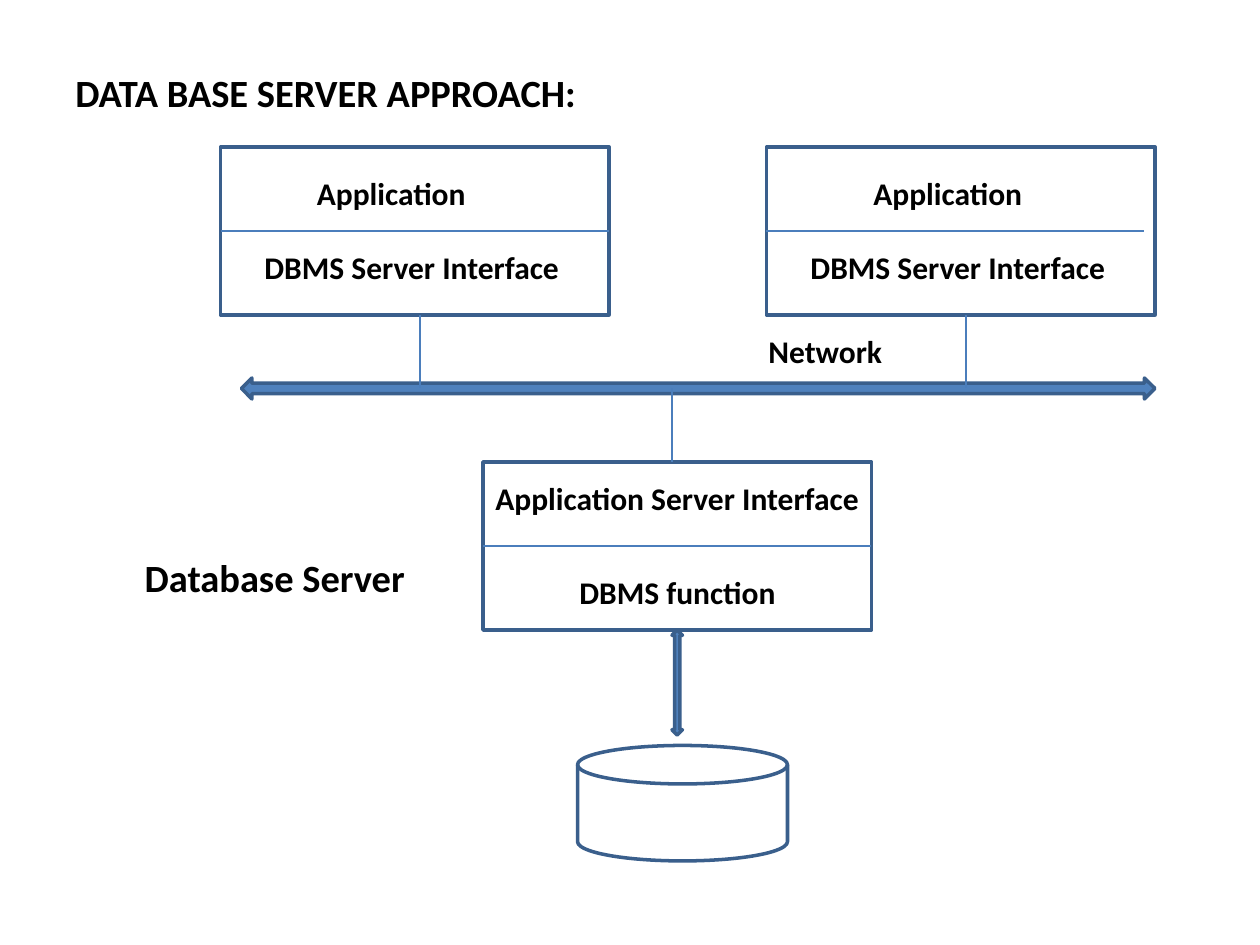
from pptx import Presentation
from pptx import util as u
from pptx.dml.color import RGBColor
from pptx.enum import shapes, text
from pptx.oxml.ns import qn
from lxml import etree

WIDTH, HEIGHT = u.Inches(10), u.Inches(7.5)
COLUMNS, ROWS = 120, 90
BORDER, RULE, ARROW, INK = "3A5F8C", "4B7EBC", "4F81BD", "000000"
NODE_WIDTH, NODE_HEIGHT = 37, 16


def color(value):
    return RGBColor.from_string(value)


def across(columns):
    return round(WIDTH * columns / COLUMNS)


def down(rows):
    return round(HEIGHT * rows / ROWS)


def add_outline(slide, preset, left, top, width, height, fill=None):
    outline = slide.shapes.add_shape(
        preset, across(left), down(top), across(width), down(height))
    outline.shadow.inherit = False
    if fill:
        outline.fill.solid()
        outline.fill.fore_color.rgb = color(fill)
    else:
        outline.fill.background()
    outline.line.color.rgb = color(BORDER)
    outline.line.width = u.Pt(2)


def add_rule(slide, left, top, right, bottom):
    rule = slide.shapes.add_connector(
        shapes.MSO_CONNECTOR.STRAIGHT,
        across(left), down(top), across(right), down(bottom))
    rule.line.color.rgb = color(RULE)
    rule.line.width = u.Pt(0.75)
    etree.SubElement(rule._element.spPr, qn("a:effectLst"))


def add_label(slide, wording, left, top, width, size=18):
    label = slide.shapes.add_textbox(
        across(left), down(top), across(width), down(4.8))
    frame = label.text_frame
    frame.word_wrap = True
    frame.vertical_anchor = text.MSO_ANCHOR.TOP
    paragraph = frame.paragraphs[0]
    paragraph.alignment = text.PP_ALIGN.LEFT
    run = paragraph.add_run()
    run.text = wording
    style = {"name": "Calibri", "size": u.Pt(size), "bold": True}
    for attribute, value in style.items():
        setattr(run.font, attribute, value)
    run.font.color.rgb = color(INK)


def add_node(slide, left, top, divider_width=NODE_WIDTH):
    add_outline(slide, shapes.MSO_SHAPE.RECTANGLE,
                left, top, NODE_WIDTH, NODE_HEIGHT)
    middle = top + NODE_HEIGHT / 2
    add_rule(slide, left, middle, left + divider_width, middle)


def main():
    deck = Presentation()
    deck.slide_width, deck.slide_height = WIDTH, HEIGHT
    slide = deck.slides.add_slide(deck.slide_layouts[6])

    for node in ((73, 14, 36), (21, 14), (46, 44)):
        add_node(slide, *node)

    add_outline(slide, shapes.MSO_SHAPE.LEFT_RIGHT_ARROW, 23, 36, 87, 2, ARROW)
    for column, row in ((40, 30), (92, 30), (64, 37)):
        add_rule(slide, column, row, column, row + 7)
    add_outline(slide, shapes.MSO_SHAPE.FLOWCHART_MAGNETIC_DISK, 55, 71, 20, 11)

    for wording, left, top, width, *size in (
        ("DATA BASE SERVER APPROACH:", 6, 6, 108, 22),
        ("Database Server", 12.6, 52.2, 32, 22),
        ("Application", 29, 16, 19),
        ("Application", 82, 16, 19),
        ("DBMS Server Interface", 24, 23, 34),
        ("DBMS Server Interface", 76, 23, 33),
        ("Network", 72, 31, 15),
        ("Application Server Interface", 46, 45, 40),
        ("DBMS function", 54, 54, 25),
    ):
        add_label(slide, wording, left, top, width, *size)

    add_outline(slide, shapes.MSO_SHAPE.UP_DOWN_ARROW, 64, 60, 1, 10, ARROW)
    deck.save("out.pptx")


if __name__ == "__main__":
    main()
